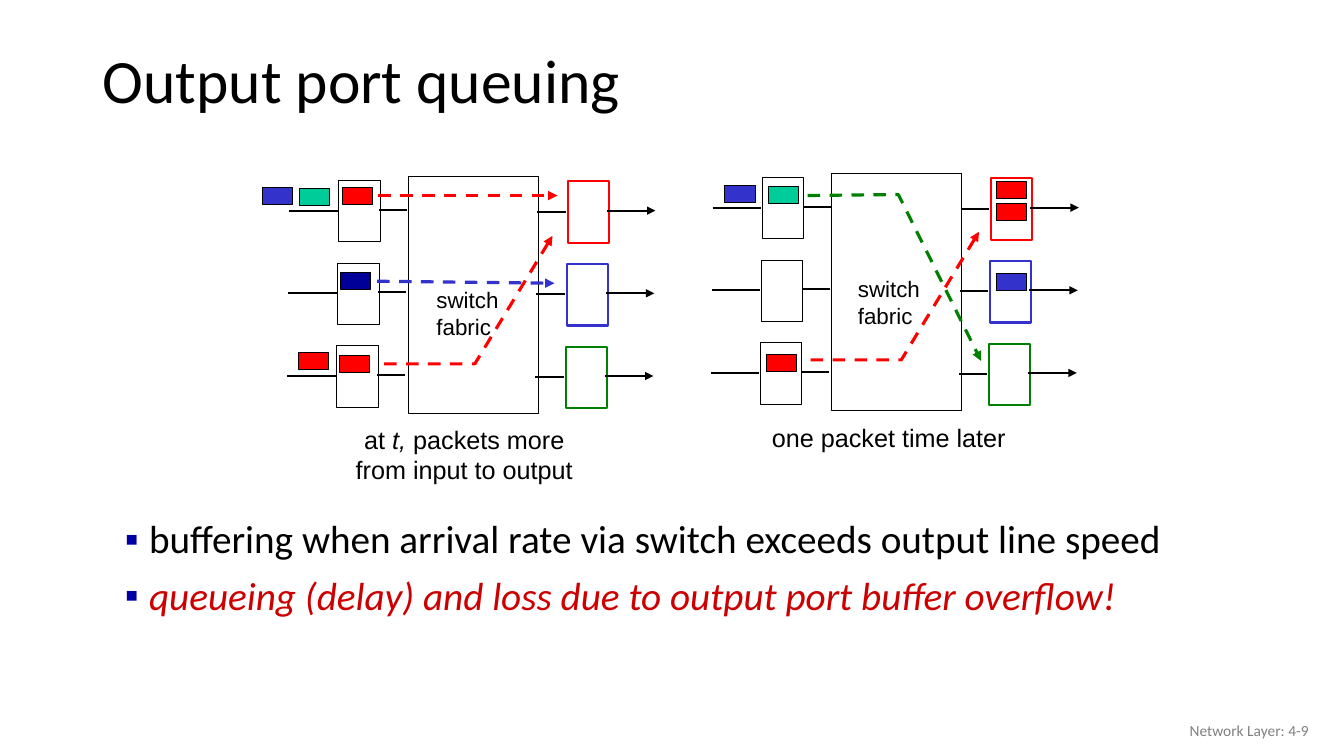
from lxml import etree
from pptx import Presentation
from pptx.dml.color import RGBColor
from pptx.enum.dml import MSO_LINE
from pptx.enum.shapes import MSO_CONNECTOR, MSO_SHAPE
from pptx.enum.text import MSO_ANCHOR, PP_ALIGN
from pptx.oxml.ns import qn
from pptx.util import Inches, Pt

DASH = MSO_LINE.DASH
STRAIGHT = MSO_CONNECTOR.STRAIGHT
RECT = MSO_SHAPE.RECTANGLE
TOP, MIDDLE = MSO_ANCHOR.TOP, MSO_ANCHOR.MIDDLE
LEFT, CENTER, RIGHT = PP_ALIGN.LEFT, PP_ALIGN.CENTER, PP_ALIGN.RIGHT

BLACK, WHITE, RED, BLUE = "000000", "FFFFFF", "FF0000", "3333CC"
GREEN, NAVY, TEAL, GRAY = "008000", "000099", "00CC99", "808080"
BULLET, WARNING = "0000A3", "CC0000"
PORT_W, PORT_H, PORT_PITCH = 0.41, 0.61, 0.82


def rgb(value):
    return RGBColor.from_string(value)


class SlideBuilder:
    heading_font = "Calibri"
    label_font = "Arial"

    def __init__(self, slide):
        self.slide = slide
        self.shapes = slide.shapes

    def stroke(self, line, color, width, dashed=False, arrow=False):
        line.color.rgb = rgb(color)
        line.width = Pt(width)
        if dashed:
            line.dash_style = DASH
        if arrow:
            ln = line._get_or_add_ln()
            etree.SubElement(ln, qn("a:tailEnd"), type="triangle")

    def box(self, x, y, w, h, fill=WHITE, color=BLACK, width=0.75):
        sp = self.shapes.add_shape(RECT, Inches(x), Inches(y), Inches(w), Inches(h))
        sp.shadow.inherit = False
        sp.fill.solid()
        sp.fill.fore_color.rgb = rgb(fill)
        self.stroke(sp.line, color, width)

    def packet(self, x, y, color):
        self.box(x, y, 0.3, 0.17, color)

    def line(self, x1, y1, x2, y2, color=BLACK, width=1.5, dashed=False, arrow=False):
        cxn = self.shapes.add_connector(
            STRAIGHT, Inches(x1), Inches(y1), Inches(x2), Inches(y2))
        etree.SubElement(cxn._element.spPr, qn("a:effectLst"))
        self.stroke(cxn.line, color, width, dashed, arrow)

    def route(self, points, color):
        start, *rest = [(Inches(x), Inches(y)) for x, y in points]
        builder = self.shapes.build_freeform(*start)
        builder.add_line_segments(rest, close=False)
        sp = builder.convert_to_shape()
        sp.shadow.inherit = False
        sp.fill.background()
        self.stroke(sp.line, color, 2.25, True, True)

    def text(self, x, y, w, h, paragraphs, size, font, color=BLACK, align=LEFT,
             anchor=TOP, wrap=True, spacing=None, before=0, bullet=False):
        box = self.shapes.add_textbox(Inches(x), Inches(y), Inches(w), Inches(h))
        tf = box.text_frame
        tf.word_wrap = wrap
        tf.vertical_anchor = anchor
        for i, runs in enumerate(paragraphs):
            p = tf.add_paragraph() if i else tf.paragraphs[0]
            p.alignment = align
            if spacing:
                p.line_spacing = spacing
            if i and before:
                p.space_before = Pt(before)
            if bullet:
                self.bullet(p)
            for words, italic, run_color in runs:
                r = p.add_run()
                r.text = words
                r.font.name = font
                r.font.size = Pt(size)
                r.font.italic = italic
                r.font.color.rgb = rgb(run_color or color)

    def bullet(self, p):
        pPr = p._p.get_or_add_pPr()
        pPr.set("marL", str(Inches(0.39)))
        pPr.set("indent", str(Inches(-0.24)))
        clr = etree.SubElement(pPr, qn("a:buClr"))
        etree.SubElement(clr, qn("a:srgbClr"), val=BULLET)
        etree.SubElement(pPr, qn("a:buFont"), typeface="Arial")
        etree.SubElement(pPr, qn("a:buChar"), char="▪")

    def switch(self, x, y):
        self.box(x + 1.19, y, 1.29, 2.35)
        for row, color in enumerate((RED, BLUE, GREEN)):
            left = x - 0.01 * row
            top = y + PORT_PITCH * row
            self.box(left + 0.5, top + 0.04, PORT_W, PORT_H)
            self.box(left + 2.77, top + 0.05, PORT_W, PORT_H, WHITE, color, 1.5)
            self.line(left + 0.01, top + 0.34, left + 0.49, top + 0.34)
            self.line(left + 0.9, top + 0.33, left + 1.18, top + 0.33)
            self.line(left + 2.47, top + 0.35, left + 2.75, top + 0.35)
            self.line(left + 3.16, top + 0.34, left + 3.64, top + 0.34, arrow=True)

    def label(self, x, y, w, h, lines, size, **style):
        self.text(x, y, w, h, lines, size, self.label_font, **style)


def plain(words, color=None):
    return [(words, False, color)]


def main():
    prs = Presentation()
    prs.slide_width, prs.slide_height = Inches(13.33), Inches(7.5)
    s = SlideBuilder(prs.slides.add_slide(prs.slide_layouts[6]))

    s.text(0.92, 0.34, 11.5, 0.98, [plain("Output port queuing")], 44,
           s.heading_font, anchor=MIDDLE, spacing=0.9)

    s.switch(2.86, 1.75)
    s.switch(7.06, 1.72)

    packets = [
        (2.6, 1.86, BLUE), (2.97, 1.87, TEAL), (3.4, 1.86, RED),
        (3.38, 2.7, NAVY), (2.96, 3.5, RED), (3.37, 3.53, RED),
        (7.19, 1.84, BLUE), (7.62, 1.85, TEAL), (7.6, 3.52, RED),
        (9.88, 1.8, RED), (9.88, 2.02, RED), (9.88, 2.71, BLUE),
    ]
    for x, y, color in packets:
        s.packet(x, y, color)

    fabric = [plain("switch"), plain("fabric")]
    for x, y in ((4.23, 2.79), (8.41, 2.68)):
        s.label(x, y, 0.82, 0.64, fabric, 16, wrap=False)

    s.line(3.75, 1.94, 5.53, 1.94, RED, 2.25, True, True)
    s.line(3.74, 2.79, 5.5, 2.81, BLUE, 2.25, True, True)
    for x, y in ((3.81, 3.61), (8.04, 3.57)):
        s.route([(x, y), (x + 0.9, y), (x + 1.67, y - 1.27)], RED)
    s.route([(8.01, 1.94), (8.91, 1.93), (9.73, 3.58)], GREEN)

    s.label(3.26, 4.16, 2.69, 0.7, [
        [("at ", False, None), ("t,", True, None), (" packets more", False, None)],
        plain("from input to output"),
    ], 18, align=CENTER)
    s.label(7.47, 4.14, 2.69, 0.4, [plain("one packet time later")], 18, align=CENTER)

    s.text(0.99, 5.11, 11, 1.92, [
        plain("buffering when arrival rate via switch exceeds output line speed"),
        [("queueing (delay) and loss due to output port buffer overflow!", True, WARNING)],
    ], 28, s.heading_font, spacing=0.9, before=10, bullet=True)

    s.text(10.08, 7.05, 3, 0.4, [plain("Network Layer: 4-9")], 11,
           s.heading_font, GRAY, RIGHT, MIDDLE)

    prs.save("out.pptx")


if __name__ == "__main__":
    main()
